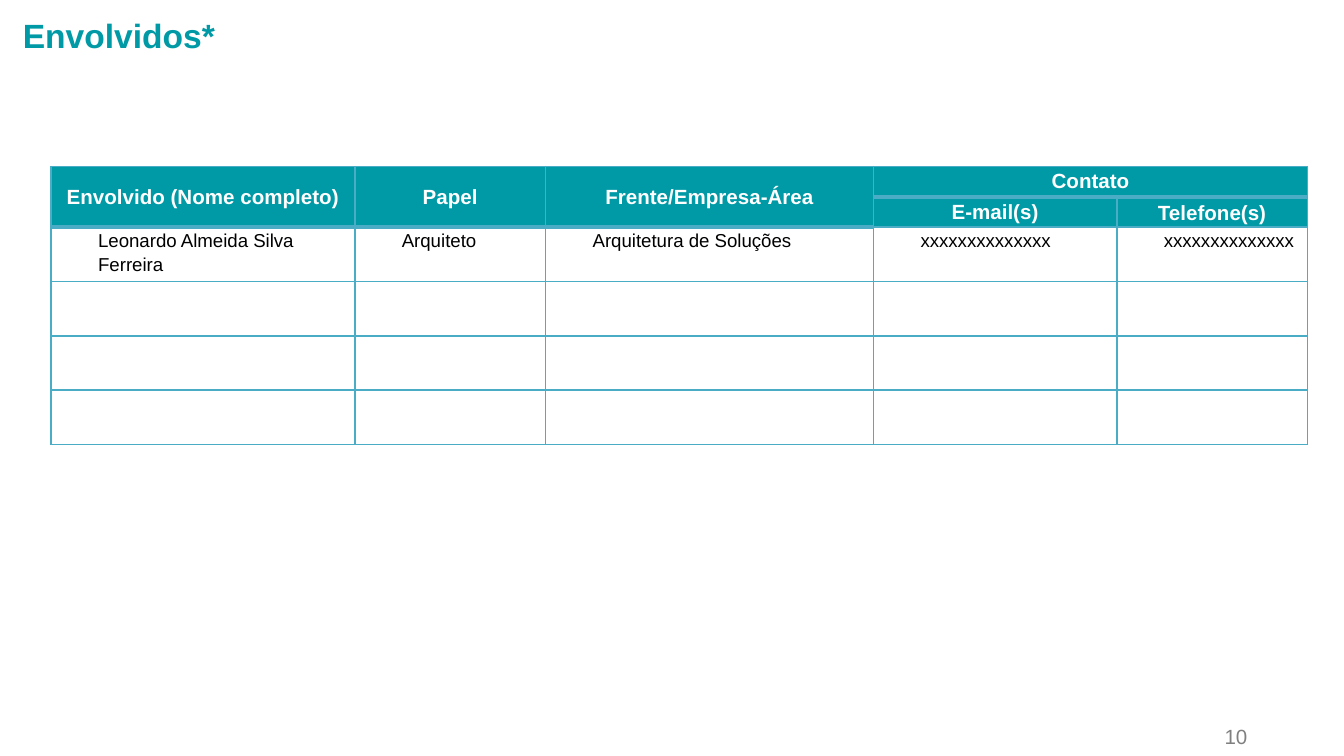
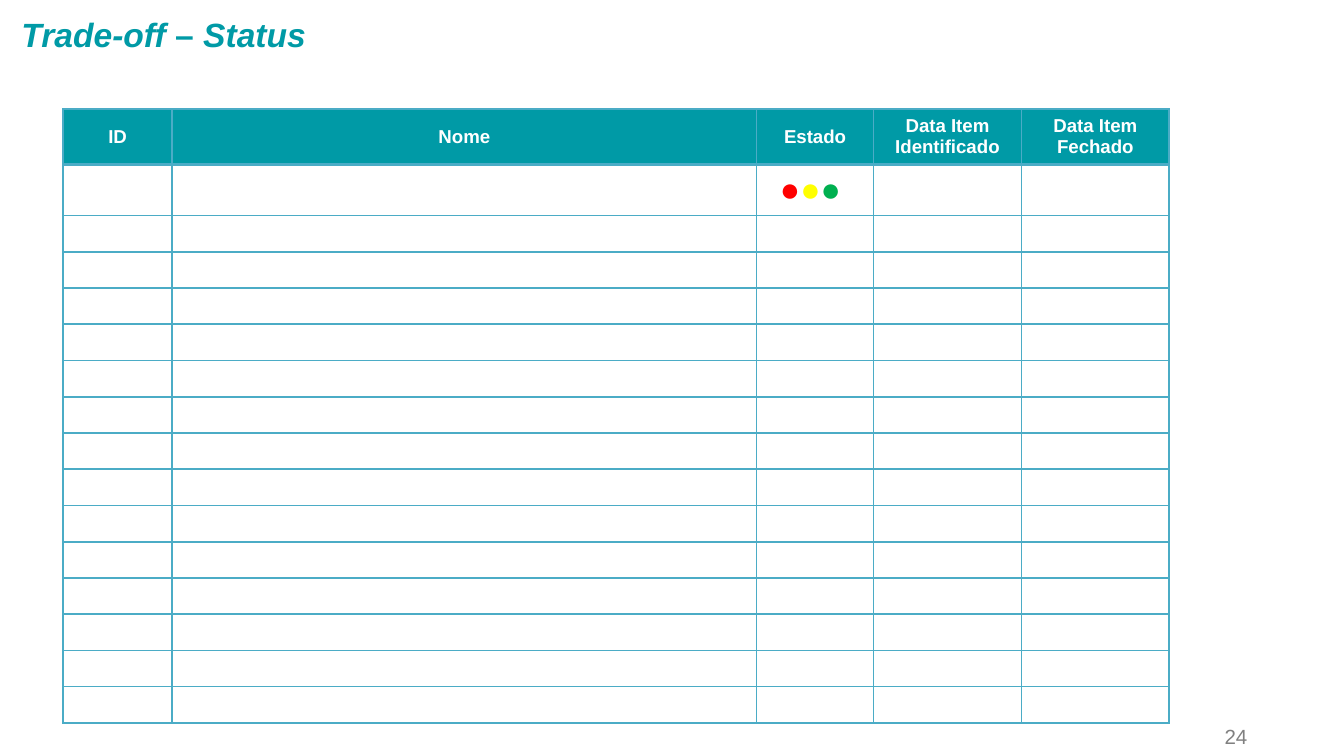
from dataclasses import dataclass
from lxml.etree import SubElement
from pptx import Presentation
from pptx.dml.color import RGBColor
from pptx.enum.text import MSO_ANCHOR, MSO_AUTO_SIZE, PP_ALIGN
from pptx.oxml import parse_xml
from pptx.oxml.ns import nsdecls, qn
from pptx.util import Inches, Pt


@dataclass(frozen=True)
class Theme:
    font: str = "Arial"
    teal: str = "009AA6"
    border: str = "4BACC6"
    white: str = "FFFFFF"
    black: str = "000000"
    gray: str = "808080"
    red: str = "FF0000"
    yellow: str = "FFFF00"
    green: str = "00B050"
    title_size: int = 18
    heading_size: int = 11
    body_size: int = 10
    number_size: int = 11


theme = Theme()


def add_run(paragraph, text, size, color, bold=False, italic=False):
    run = paragraph.add_run()
    run.text = text
    run.font.name = theme.font
    run.font.size = Pt(size)
    run.font.bold = bold
    run.font.italic = italic
    run.font.color.rgb = RGBColor.from_string(color)


def add_grid(slide, left, top, widths, heights, margins):
    grid = slide.shapes.add_table(
        len(heights), len(widths), Inches(left), Inches(top),
        Inches(sum(widths)), Inches(sum(heights))).table
    grid.first_row = False
    grid.horz_banding = False
    for column, width in zip(grid.columns, widths):
        column.width = Inches(width)
    for index, (row, height) in enumerate(zip(grid.rows, heights)):
        row.height = Inches(height)
        for cell in row.cells:
            cell.margin_left = cell.margin_right = Inches(margins[0])
            cell.margin_top = cell.margin_bottom = Inches(margins[1])
            cell.fill.background()
            end = SubElement(cell.text_frame.paragraphs[0]._p, qn("a:endParaRPr"))
            end.set("sz", str(theme.body_size * 100))
            properties = cell._tc.get_or_add_tcPr()
            thickness = {"L": 1, "R": 1, "T": 1, "B": 2 if index == 0 else 1}
            for place, (side, points) in enumerate(thickness.items()):
                properties.insert(place, parse_xml(
                    f'<a:ln{side} {nsdecls("a")} w="{Pt(points)}"><a:solidFill>'
                    f'<a:srgbClr val="{theme.border}"/></a:solidFill></a:ln{side}>'))
    return grid


deck = Presentation()
deck.slide_width = Inches(10)
deck.slide_height = Inches(10 * 9 / 16)

pages = [
    ("10", 0.07, 0.06, 6.43, [("Envolvidos*", False)]),
    ("24", 0.06, 0.05, 8.8, [("Trade-off ", True), ("– ", False), ("Status", True)]),
]
slides = []
for number, left, top, width, title_runs in pages:
    slide = deck.slides.add_slide(deck.slide_layouts[5])
    title = slide.shapes.title
    title.left, title.top = Inches(left), Inches(top)
    title.width, title.height = Inches(width), Inches(0.4)
    title.text_frame.auto_size = MSO_AUTO_SIZE.NONE
    title.text_frame.vertical_anchor = MSO_ANCHOR.TOP
    heading = title.text_frame.paragraphs[0]
    heading.alignment = PP_ALIGN.LEFT
    for text, italic in title_runs:
        add_run(heading, text, theme.title_size, theme.teal, True, italic)

    page_number = slide.shapes.add_textbox(
        Inches(8.46), Inches(5.33), Inches(0.92), Inches(0.29)).text_frame
    page_number.word_wrap = True
    page_number.vertical_anchor = MSO_ANCHOR.BOTTOM
    page_number.paragraphs[0].alignment = PP_ALIGN.RIGHT
    page_number.paragraphs[0].line_spacing = 0.8
    add_run(page_number.paragraphs[0], number, theme.number_size, theme.gray)
    slides.append(slide)

people_slide, status_slide = slides

people = add_grid(people_slide, 0.38, 1.24, [2.26, 1.42, 2.44, 1.81, 1.42],
                  [0.45 / 2] * 2 + [1.62 / 4] * 4, (0.05, 0))
for column in range(3):
    people.cell(0, column).merge(people.cell(1, column))
people.cell(0, 3).merge(people.cell(0, 4))

status = add_grid(status_slide, 0.47, 0.81, [0.81, 4.35, 0.87, 1.1, 1.1],
                  [0.41, 0.38] + [0.27] * 14, (0.1, 0.04))

people_headings = [
    (0, 0, "Envolvido (Nome completo)"), (0, 1, "Papel"), (0, 2, "Frente/Empresa-Área"),
    (0, 3, "Contato"), (1, 3, "E-mail(s)"), (1, 4, "Telefone(s)"),
]
status_headings = [
    (0, column, text) for column, text in enumerate(
        ["ID", "Nome", "Estado", "Data Item Identificado", "Data Item Fechado"])
]
for grid, headings, size in [
    (people, people_headings, theme.heading_size),
    (status, status_headings, theme.body_size),
]:
    for row, column, text in headings:
        cell = grid.cell(row, column)
        cell.fill.solid()
        cell.fill.fore_color.rgb = RGBColor.from_string(theme.teal)
        cell.vertical_anchor = MSO_ANCHOR.MIDDLE
        label = cell.text_frame.paragraphs[0]
        label.alignment = PP_ALIGN.CENTER
        add_run(label, text, size, theme.white, True)
people.cell(1, 4).text_frame.paragraphs[0].line_spacing = 1.15

architect = ["Leonardo Almeida Silva Ferreira", "Arquiteto", "Arquitetura de Soluções",
             "xxxxxxxxxxxxxx", "xxxxxxxxxxxxxx"]
for column, text in enumerate(architect):
    entry = people.cell(2, column).text_frame.paragraphs[0]
    entry.line_spacing = 1.15
    entry._p.get_or_add_pPr().set("marL", str(Inches(0.3)))
    add_run(entry, text, theme.body_size, theme.black)

state = status.cell(1, 2)
state.vertical_anchor = MSO_ANCHOR.MIDDLE
lights = state.text_frame.paragraphs[0]
lights.alignment = PP_ALIGN.CENTER
for text, color in [("●", theme.red), ("●", theme.yellow), ("● ", theme.green)]:
    add_run(lights, text, theme.title_size, color)

deck.save("out.pptx")
